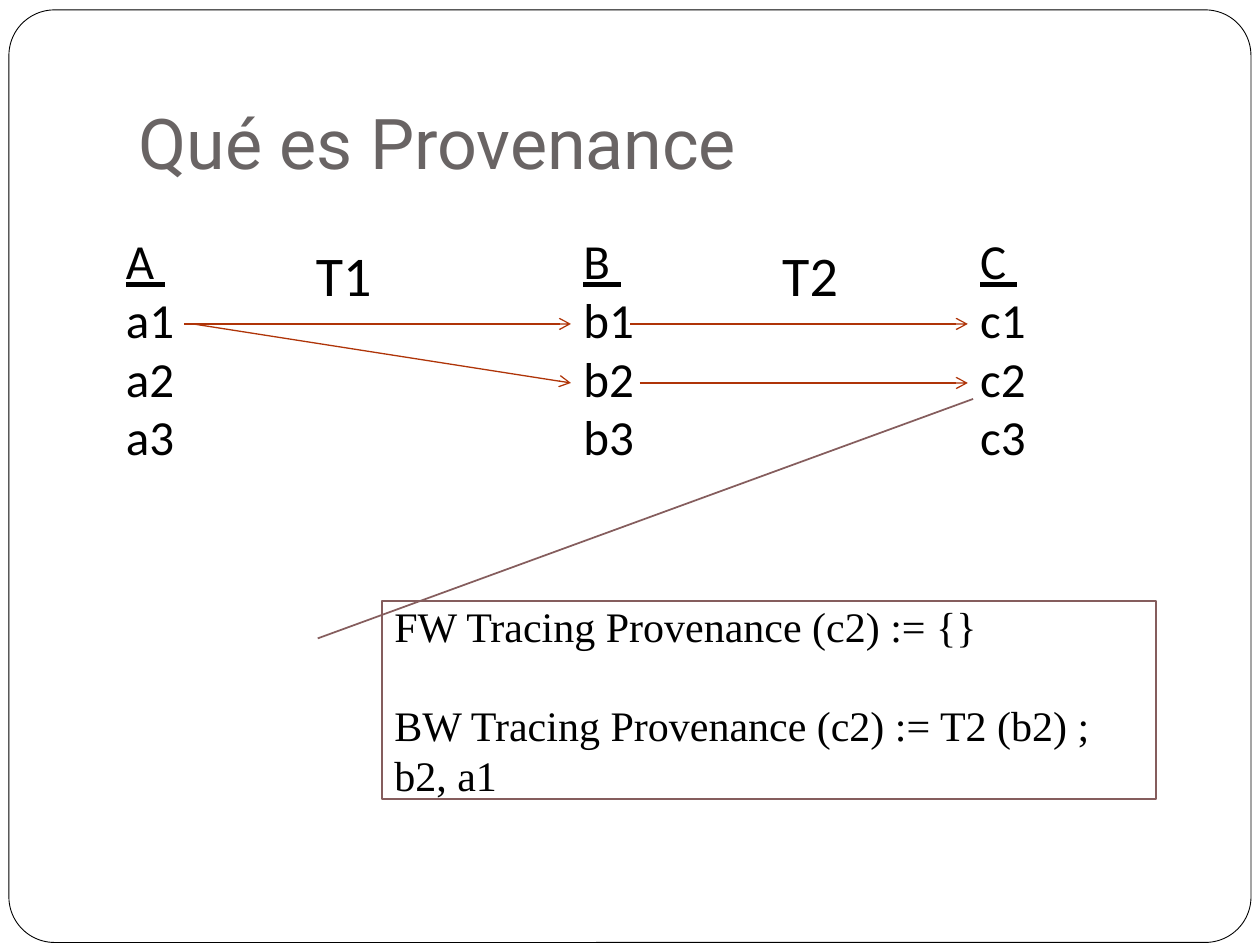
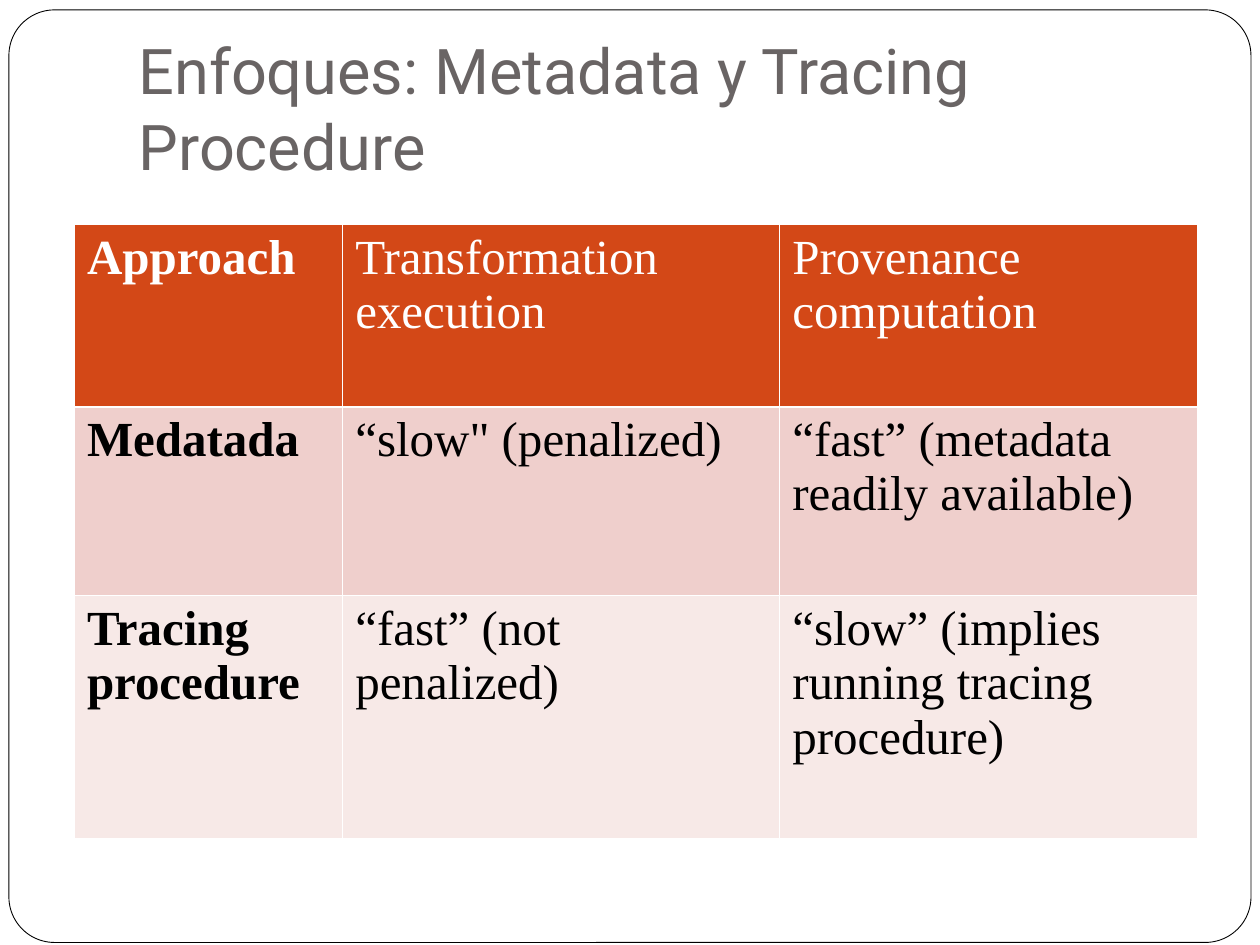
from dataclasses import dataclass

from pptx import Presentation
from pptx.dml.color import RGBColor as Rgb
from pptx.enum.shapes import MSO_CONNECTOR, MSO_SHAPE
from pptx.enum.text import MSO_ANCHOR as Anchor, MSO_AUTO_SIZE as AutoSize, PP_ALIGN as Align
from pptx.oxml.ns import qn
from pptx.util import Cm, Pt
from lxml.etree import SubElement


@dataclass(frozen=True)
class Theme:
    paper: str = "FFFFFF"
    ink: str = "000000"
    title: str = "696464"
    arrow: str = "AF3408"
    callout: str = "855D5D"
    header: str = "D34817"
    bands: tuple = ("EFCFCC", "F7E9E7")
    title_font: str = "Roboto"
    diagram_font: str = "Calibri"
    prose_font: str = "Times New Roman"
    title_size: int = 40
    long_title_size: int = 36
    step_size: int = 32
    item_size: int = 28
    callout_size: int = 24
    hairline: float = 0.45
    header_rule: float = 1.47


THEME = Theme()


def color(code):
    return Rgb.from_string(code)


def write(frame, *lines, font, size, ink=THEME.ink, bold=False, anchor=Anchor.TOP,
          wrap=True, gap=0, underline_first=False):
    """Fill a text frame, one paragraph a line, with gap points between them."""
    frame.word_wrap = wrap
    frame.auto_size = AutoSize.NONE
    frame.vertical_anchor = anchor
    for index, line in enumerate(lines):
        paragraph = frame.add_paragraph() if index else frame.paragraphs[0]
        paragraph.alignment = Align.LEFT
        paragraph.space_before = Pt(gap if index else 0)
        run = paragraph.add_run()
        run.text = line
        run.font.name = font
        run.font.size = Pt(size)
        run.font.bold = bold
        run.font.underline = underline_first and index == 0
        run.font.color.rgb = color(ink)


def set_borders(cell, **widths):
    """Draw cell borders; each keyword is a side (L, R, T, B) with a width in points."""
    properties = cell._tc.get_or_add_tcPr()
    for side, width in widths.items():
        line = SubElement(properties, qn(f"a:ln{side}"), w=str(Pt(width)))
        fill = SubElement(line, qn("a:solidFill"))
        SubElement(fill, qn("a:srgbClr"), val=THEME.paper)


class Deck:
    def __init__(self, theme):
        self.theme = theme
        self.presentation = Presentation()
        self.presentation.slide_width = Cm(25.4)
        self.presentation.slide_height = Cm(19.05)
        self.layout = self.presentation.slide_layouts[5]
        self.slide = None

    def add_slide(self, title, size):
        first = self.slide is None
        self.slide = self.presentation.slides.add_slide(self.layout)
        if first:
            self.add_layout_frame()
        heading = self.slide.shapes.title
        heading.left, heading.top = Cm(2.54), Cm(0.76)
        heading.width, heading.height = Cm(21.59), Cm(3.18)
        heading.text_frame.margin_bottom = Cm(0.25)
        write(heading.text_frame, title, font=self.theme.title_font, size=size,
              ink=self.theme.title, anchor=Anchor.BOTTOM)

    def add_layout_frame(self):
        """Place the rounded page frame behind everything on the shared layout."""
        frame = self.panel(MSO_SHAPE.ROUNDED_RECTANGLE, 0.18, 0.2, 25.04, 18.8,
                           (0.049,), self.theme.ink, 0.5)
        self.layout.element.cSld.spTree.insert(2, frame.element)

    def panel(self, kind, left, top, width, height, adjustments, outline, weight):
        shape = self.slide.shapes.add_shape(kind, Cm(left), Cm(top), Cm(width), Cm(height))
        for index, value in enumerate(adjustments):
            shape.adjustments[index] = value
        shape.shadow.inherit = False
        shape.fill.solid()
        shape.fill.fore_color.rgb = color(self.theme.paper)
        shape.line.color.rgb = color(outline)
        shape.line.width = Pt(weight)
        return shape

    def label(self, left, top, width, height, *lines, **style):
        box = self.slide.shapes.add_textbox(Cm(left), Cm(top), Cm(width), Cm(height))
        write(box.text_frame, *lines, font=self.theme.diagram_font, **style)

    def arrow(self, start_x, start_y, end_x, end_y):
        connector = self.slide.shapes.add_connector(
            MSO_CONNECTOR.STRAIGHT, Cm(start_x), Cm(start_y), Cm(end_x), Cm(end_y))
        connector.line.color.rgb = color(self.theme.arrow)
        connector.line.width = Pt(0.75)
        properties = connector.element.spPr
        SubElement(properties.find(qn("a:ln")), qn("a:tailEnd"), type="arrow")
        SubElement(properties, qn("a:effectLst"))

    def callout(self, left, top, width, height, adjustments, *lines):
        shape = self.panel(MSO_SHAPE.LINE_CALLOUT_1, left, top, width, height,
                           adjustments, self.theme.callout, 1)
        write(shape.text_frame, *lines, font=self.theme.prose_font,
              size=self.theme.callout_size, anchor=Anchor.MIDDLE, gap=28)

    def table(self, left, top, widths, heights, rows):
        theme = self.theme
        table = self.slide.shapes.add_table(
            len(rows), len(widths), Cm(left), Cm(top), Cm(sum(widths)), Cm(sum(heights))).table
        table.first_row = table.horz_banding = False
        for column, width in zip(table.columns, widths):
            column.width = Cm(width)
        fills = (theme.header, *theme.bands)
        for r, (texts, height, fill) in enumerate(zip(rows, heights, fills)):
            table.rows[r].height = Cm(height)
            for c, text in enumerate(texts):
                cell = table.cell(r, c)
                set_borders(cell, L=theme.hairline, R=theme.hairline,
                            T=theme.header_rule if r == 1 else theme.hairline,
                            B=theme.header_rule if r == 0 else theme.hairline)
                cell.fill.solid()
                cell.fill.fore_color.rgb = color(fill)
                write(cell.text_frame, text, font=theme.prose_font, size=theme.item_size,
                      ink=theme.ink if r else theme.paper, bold=c == 0)


def build_provenance(deck):
    deck.add_slide("Qué es Provenance", THEME.title_size)
    for dataset, left in (("A", 2.29), ("B", 11.51), ("C", 19.51)):
        items = [f"{dataset.lower()}{number}" for number in (1, 2, 3)]
        deck.label(left, 4.52, 2.01, 5, f"{dataset} ", *items,
                   size=THEME.item_size, underline_first=True)

    first_row, second_row = 6.53, 7.72
    b_edge, c_edge = 11.51, 19.51
    deck.arrow(3.71, first_row, b_edge, first_row)
    deck.arrow(3.89, first_row, b_edge, second_row)
    deck.arrow(12.7, first_row, c_edge, first_row)
    deck.arrow(12.9, second_row, c_edge, second_row)

    for step, left in (("T1", 6.12), ("T2", 15.52)):
        deck.label(left, 4.72, 1.63, 1.63, step, size=THEME.step_size, wrap=False)

    deck.callout(7.7, 12.12, 15.6, 3.99, (0.188, -0.083, -1.022, 0.764),
                 "FW Tracing Provenance (c2) := {}",
                 "BW Tracing Provenance (c2) := T2 (b2) ; b2, a1")


def build_approaches(deck):
    deck.add_slide("Enfoques: Metadata y Tracing Procedure", THEME.long_title_size)
    deck.table(1.5, 4.52, (5.41, 8.81, 8.41), (3.68, 3.81, 4.9), (
        ("Approach", "Transformation execution", "Provenance computation"),
        ("Medatada", "“slow\" (penalized)", "“fast” (metadata readily available)"),
        ("Tracing procedure", "“fast” (not penalized)",
         "“slow” (implies running tracing procedure)"),
    ))


def main():
    deck = Deck(THEME)
    build_provenance(deck)
    build_approaches(deck)
    deck.presentation.save("out.pptx")


if __name__ == "__main__":
    main()
